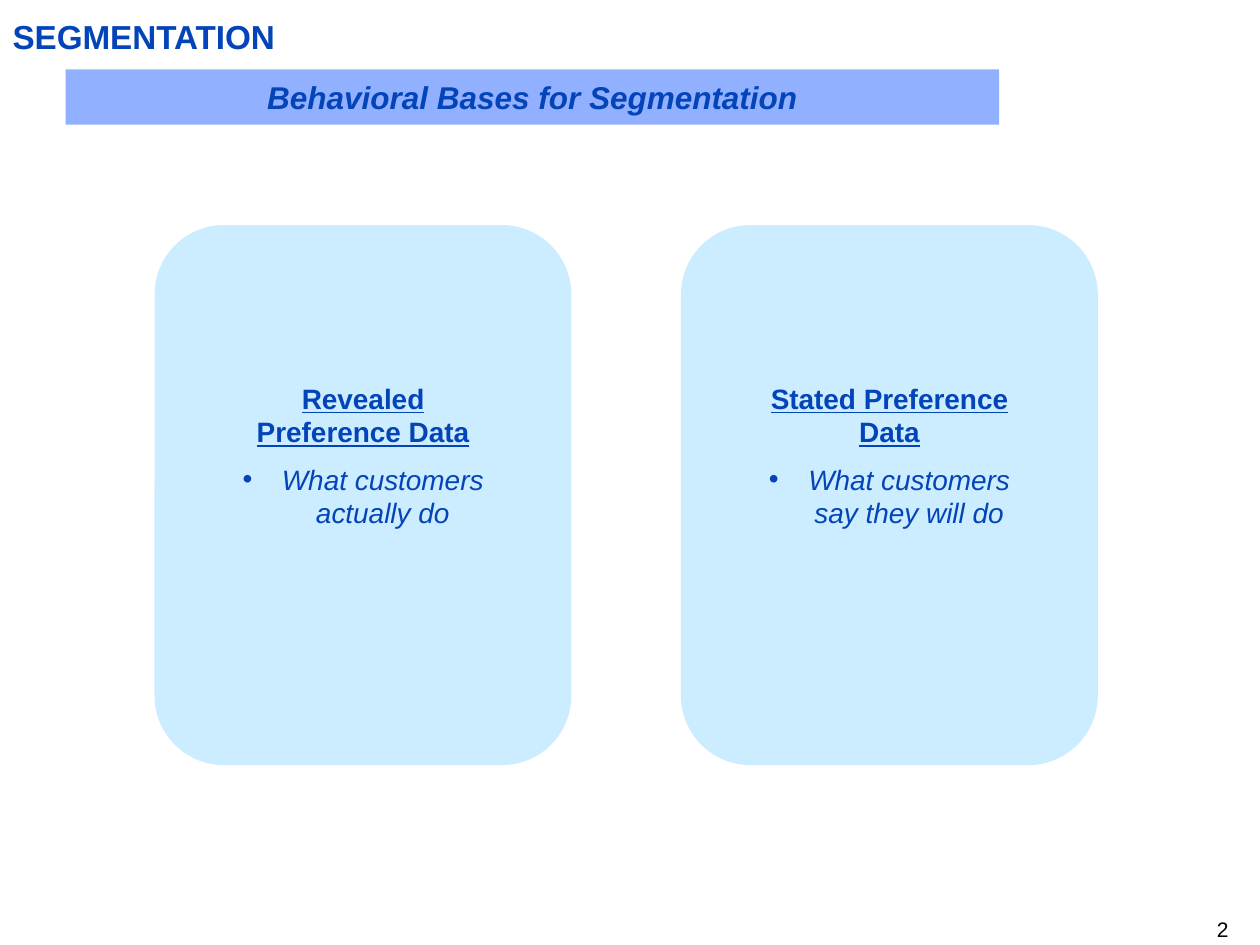
from dataclasses import dataclass

from lxml.etree import SubElement
from pptx import Presentation
from pptx.dml.color import RGBColor
from pptx.enum.shapes import MSO_SHAPE
from pptx.enum.text import MSO_ANCHOR, MSO_AUTO_SIZE, PP_ALIGN
from pptx.oxml.ns import qn
from pptx.util import Pt


@dataclass(frozen=True)
class Theme:
    font: str = "Arial"
    ink: str = "0344B9"
    black: str = "000000"
    banner: str = "91B0FF"
    card: str = "CCECFF"
    title_size: float = 19
    banner_size: float = 18
    body_size: float = 16
    number_size: float = 12


def write(paragraph, text, *, theme, size, color=None, bold=False, italic=False,
          underline=False, align=PP_ALIGN.CENTER, before=0, bullet_indent=0):
    """Put formatted text in a paragraph, with a hanging bullet if indented."""
    paragraph.text = text
    paragraph.alignment = align
    paragraph.space_before = Pt(before)
    if bullet_indent:
        properties = paragraph._p.get_or_add_pPr()
        properties.set("marL", str(Pt(bullet_indent)))
        properties.set("indent", str(-Pt(bullet_indent)))
        SubElement(properties, qn("a:buFont"), typeface=theme.font)
        SubElement(properties, qn("a:buChar"), char="•")
    font = paragraph.font
    font.name = theme.font
    font.size = Pt(size)
    font.bold, font.italic, font.underline = bold, italic, underline
    font.color.rgb = RGBColor.from_string(color or theme.ink)


class SlideBuilder:
    def __init__(self, presentation, theme):
        self.theme = theme
        self.slide = presentation.slides.add_slide(presentation.slide_layouts[5])

    def prepare_frame(self, shape, anchor=MSO_ANCHOR.TOP, inset=None):
        frame = shape.text_frame
        frame.word_wrap = True
        frame.auto_size = MSO_AUTO_SIZE.NONE
        frame.vertical_anchor = anchor
        if inset is not None:
            frame.margin_left = frame.margin_right = Pt(inset)
            frame.margin_top = frame.margin_bottom = Pt(inset)
        return frame

    def title(self, text, left, top, width, height):
        shape = self.slide.shapes.title
        shape.left, shape.top = Pt(left), Pt(top)
        shape.width, shape.height = Pt(width), Pt(height)
        frame = self.prepare_frame(shape, MSO_ANCHOR.MIDDLE, inset=0)
        write(frame.paragraphs[0], text, theme=self.theme,
              size=self.theme.title_size, bold=True, align=PP_ALIGN.LEFT)

    def panel(self, kind, color, left, top, width, height):
        shape = self.slide.shapes.add_shape(
            kind, Pt(left), Pt(top), Pt(width), Pt(height))
        shape.shadow.inherit = False
        shape.fill.solid()
        shape.fill.fore_color.rgb = RGBColor.from_string(color)
        shape.line.fill.background()
        return shape

    def text_box(self, left, top, width, height, inset=None):
        box = self.slide.shapes.add_textbox(
            Pt(left), Pt(top), Pt(width), Pt(height))
        return self.prepare_frame(box, inset=inset)

    def banner(self, text, left, top, width, height):
        shape = self.panel(MSO_SHAPE.RECTANGLE, self.theme.banner,
                           left, top, width, height)
        frame = self.prepare_frame(shape, MSO_ANCHOR.MIDDLE)
        write(frame.paragraphs[0], text, theme=self.theme,
              size=self.theme.banner_size, bold=True, italic=True)

    def card(self, heading, detail, left, top, width, height):
        self.panel(MSO_SHAPE.ROUNDED_RECTANGLE, self.theme.card,
                   left, top, width, height)
        frame = self.text_box(left + 36.4, top + 85.7, 165.6, 95)
        size = self.theme.body_size
        write(frame.paragraphs[0], heading, theme=self.theme, size=size,
              bold=True, underline=True)
        write(frame.add_paragraph(), detail, theme=self.theme, size=size,
              italic=True, before=size / 2, bullet_indent=22.5)

    def page_number(self, text, left, top, width, height):
        frame = self.text_box(left, top, width, height, inset=0)
        write(frame.paragraphs[0], text, theme=self.theme,
              size=self.theme.number_size, color=self.theme.black,
              align=PP_ALIGN.RIGHT)


def main():
    presentation = Presentation()
    presentation.slide_width, presentation.slide_height = Pt(720), Pt(540)
    builder = SlideBuilder(presentation, Theme())

    # Page number
    builder.page_number("2", 552, 523.5, 150, 14.4)

    # Two preference cards, evenly spaced
    cards = [
        ("Revealed Preference Data", "What customers actually do"),
        ("Stated Preference Data", "What customers say they will do"),
    ]
    for index, (heading, detail) in enumerate(cards):
        builder.card(heading, detail, 88.3 + index * 300.8, 128.6, 238.2, 308.6)

    # Title and banner
    builder.title("SEGMENTATION", 7.2, 9.4, 692.6, 23)
    builder.banner("Behavioral Bases for Segmentation", 37.5, 39.6, 533.4, 31.7)

    presentation.save("out.pptx")


if __name__ == "__main__":
    main()
